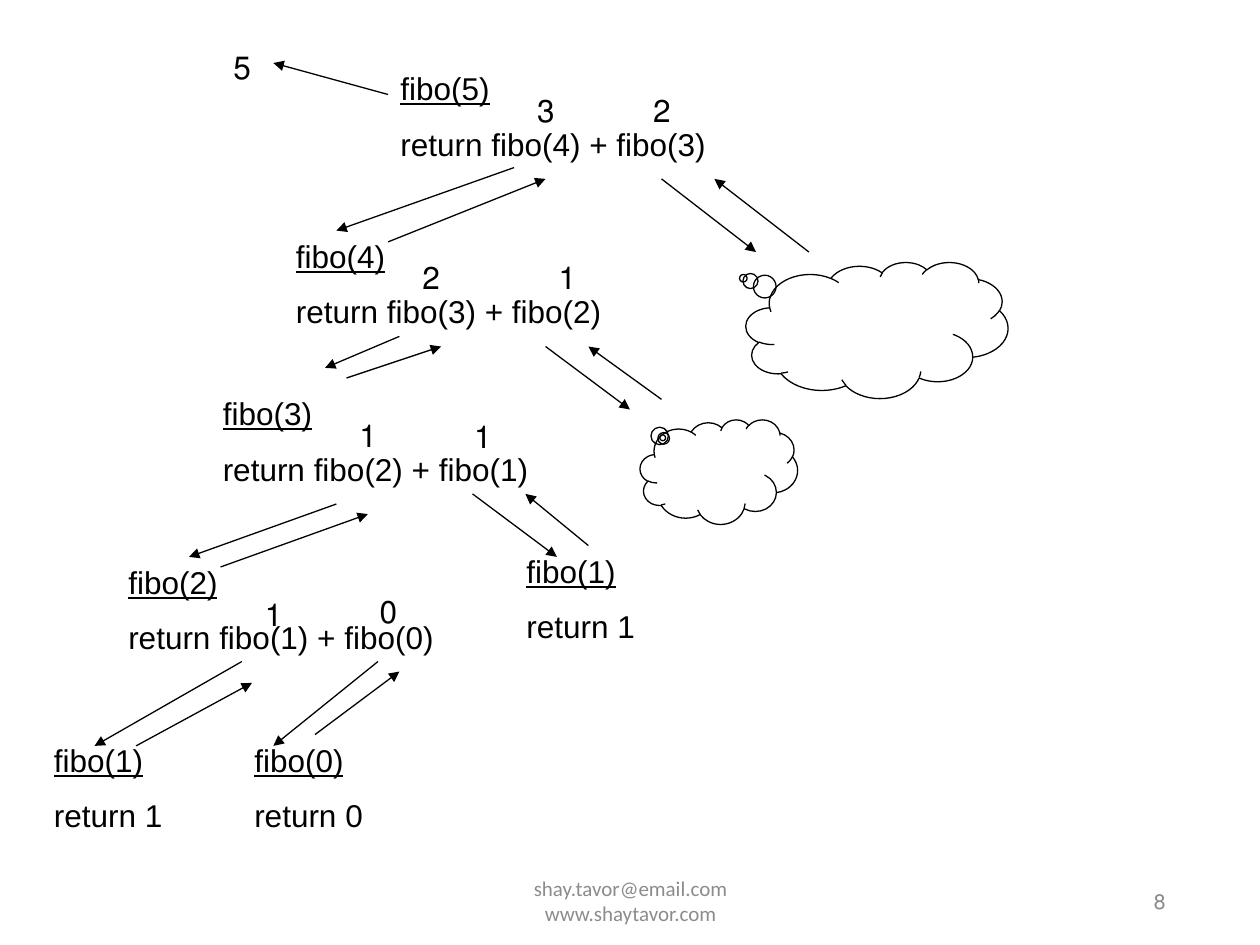
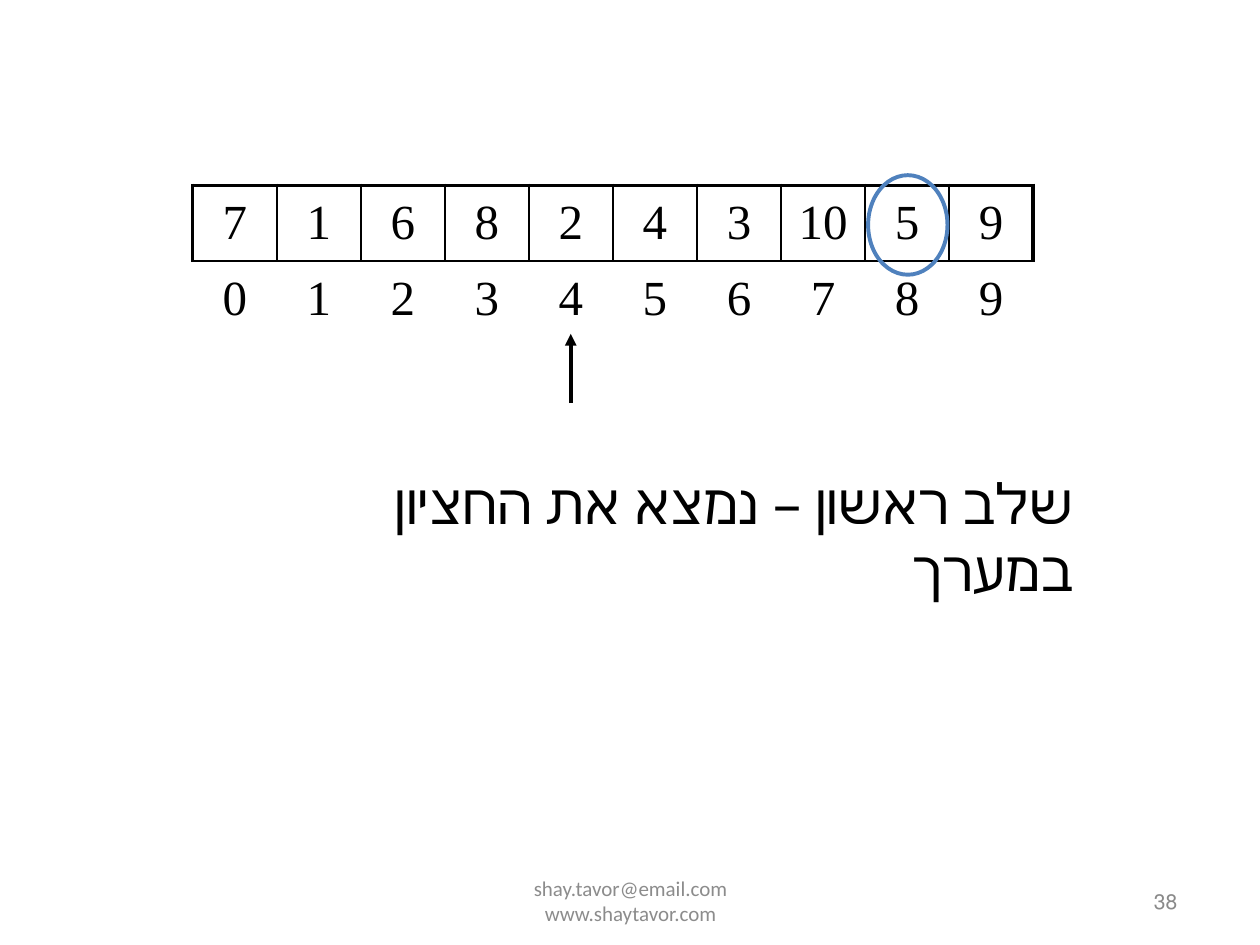
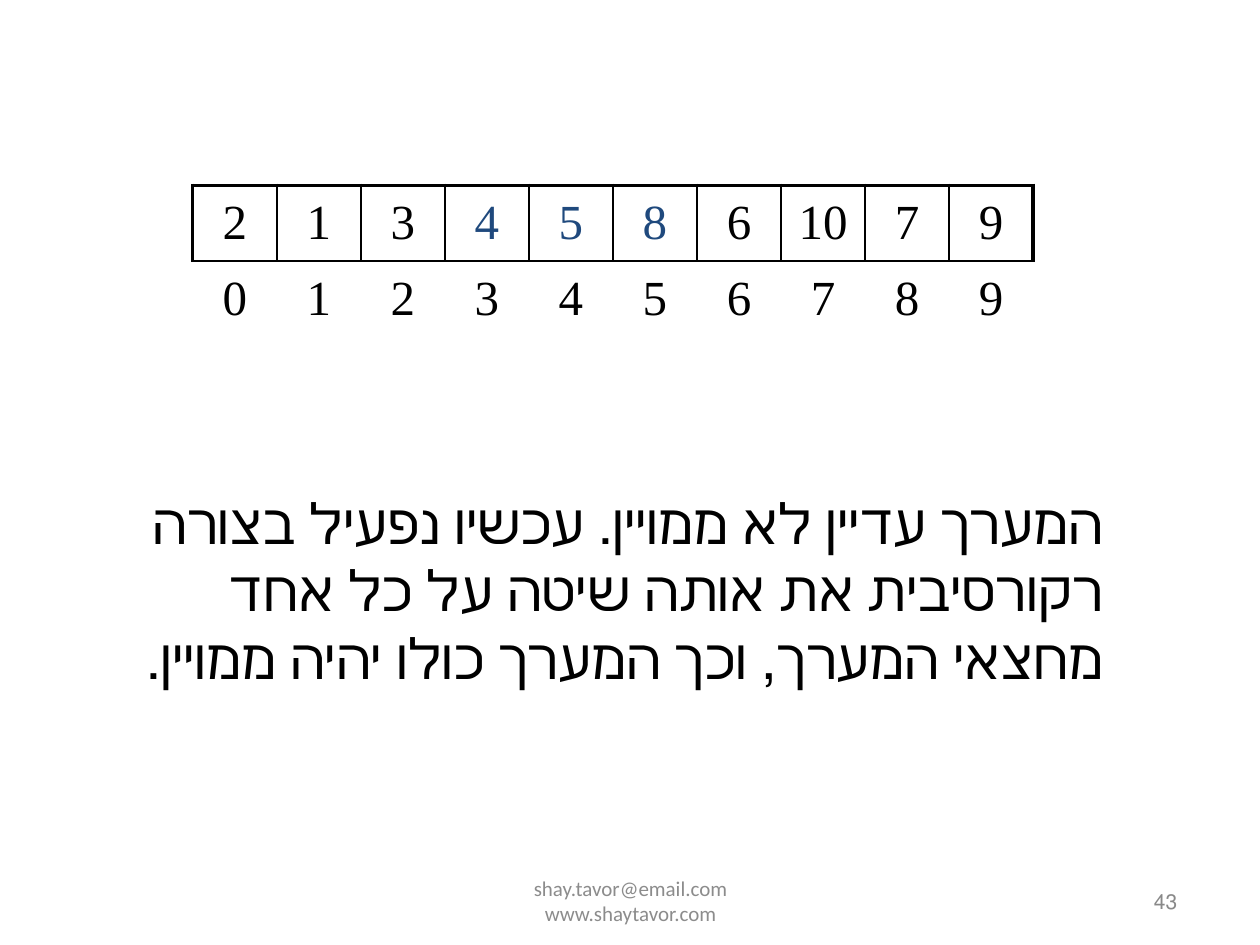
"""Build three lecture slides on recursion and quicksort."""
from pptx import Presentation
from pptx.dml.color import RGBColor
from pptx.enum import shapes, text
from pptx.oxml import parse_xml
from pptx.oxml.ns import nsdecls, qn
from pptx.util import Inches, Pt

BLACK = RGBColor(0x00, 0x00, 0x00)
NAVY = RGBColor(0x1F, 0x49, 0x7D)
BLUE = RGBColor(0x4F, 0x81, 0xBD)
GREY = RGBColor(0x8C, 0x8C, 0x8C)
PALE = RGBColor(0x89, 0x89, 0x89)
LEFT, MID, RIGHT = text.PP_ALIGN.LEFT, text.PP_ALIGN.CENTER, text.PP_ALIGN.RIGHT
SERIF = "Times New Roman"
PLAIN = "{2D5ABB26-0587-4C30-8999-92F81FD0307C}"
THIN, THICK = 1, 2.25

CALLS = [
    (3.08, 0.5, 3, 5, "fibo(4) + fibo(3)"),
    (2.25, 1.83, 3, 4, "fibo(3) + fibo(2)"),
    (1.67, 3.08, 3, 3, "fibo(2) + fibo(1)"),
    (0.92, 4.42, 3, 2, "fibo(1) + fibo(0)"),
    (0.33, 5.83, 1.33, 1, "1"),
    (1.92, 5.83, 1.33, 0, "0"),
    (4.08, 4.33, 1.33, 1, "1"),
]
VALUES = [
    (1.67, 0.33, 5), (4.08, 0.67, 3), (5, 0.67, 2),
    (3.17, 2, 2), (4.25, 2, 1), (2.67, 3.25, 1), (3.58, 3.26, 1),
    (1.92, 4.67, 1), (2.83, 4.65, 0),
]
ARROWS = [
    (3.08, 0.75, 2.17, 0.5),
    (4.08, 1.33, 2.67, 1.83), (3.08, 1.92, 4.33, 1.42),
    (5.25, 1.42, 6, 2), (6.42, 2, 5.67, 1.42),
    (3.17, 2.67, 2.58, 2.92), (2.75, 3, 3.5, 2.75),
    (4.33, 2.75, 5, 3.25), (5.25, 3.17, 4.67, 2.75),
    (2.67, 4, 1.5, 4.42), (1.75, 4.5, 2.92, 4.08),
    (3.75, 3.92, 4.42, 4.42), (4.67, 4.33, 4.17, 3.92),
    (1.92, 5.25, 0.75, 5.92), (1.08, 5.92, 2, 5.42),
    (3, 5.25, 2.17, 5.92), (2.5, 5.83, 3.17, 5.33),
]
CLOUDS = [
    (5.08, 3.33, 1.25, 0.83, -0.356, -0.325),
    (5.92, 2.08, 2.08, 1.08, -0.51, -0.381),
]


def style(para, size, font, color, align=LEFT, rtl=False):
    """Format a paragraph and its runs."""
    para.alignment = align
    if rtl:
        para._p.get_or_add_pPr().set("rtl", "1")
    for run in para.runs:
        run.font.size = Pt(size)
        run.font.name = font
        run.font.color.rgb = color


def add_text(slide, box, words, size, font, color=BLACK, align=LEFT, rtl=False):
    """Add a wrapped text box and return its frame."""
    frame = slide.shapes.add_textbox(*map(Inches, box)).text_frame
    frame.word_wrap = True
    frame.text = words
    for para in frame.paragraphs:
        style(para, size, font, color, align, rtl)
    return frame


def add_body(slide, *args, **kwargs):
    """Add a text box that grows with its text."""
    frame = add_text(slide, *args, **kwargs)
    frame.auto_size = text.MSO_AUTO_SIZE.SHAPE_TO_FIT_TEXT
    return frame


def add_call(slide, left, top, width, arg, result):
    """Add a function call with its return line."""
    words = f"fibo({arg})\nreturn {result}"
    frame = add_body(slide, (left, top, width, 0.85), words, 18, "Arial")
    head, body = frame.paragraphs
    head.runs[0].font.underline = True
    body.space_before = Pt(10)


def add_arrow(slide, ends, width=0.75):
    """Add a line with an arrowhead at its end."""
    line = slide.shapes.add_connector(
        shapes.MSO_CONNECTOR.STRAIGHT, *map(Inches, ends))
    line.line.color.rgb = BLACK
    line.line.width = Pt(width)
    line.line._get_or_add_ln().append(
        parse_xml(f'<a:tailEnd {nsdecls("a")} type="triangle"/>'))
    line._element.spPr.append(parse_xml(f'<a:effectLst {nsdecls("a")}/>'))


def add_shape(slide, kind, box, color, width):
    """Add an unfilled outline shape."""
    shape = slide.shapes.add_shape(kind, *map(Inches, box))
    shape.shadow.inherit = False
    shape.fill.background()
    shape.line.color.rgb = color
    shape.line.width = Pt(width)
    return shape


def add_edge(cell, side, width):
    """Draw one black cell border."""
    cell._tc.get_or_add_tcPr().append(parse_xml(
        f'<a:ln{side} {nsdecls("a")} w="{Pt(width)}"><a:solidFill>'
        f'<a:srgbClr val="{BLACK}"/></a:solidFill></a:ln{side}>'))


def add_array(slide, items, marked=()):
    """Add an array as a table with its indexes below."""
    count = len(items)
    table = slide.shapes.add_table(
        2, count, *map(Inches, (1.53, 1.47, 6.67, 1.2))).table
    table.first_row = table.horz_banding = False
    table._tbl.tblPr.find(qn("a:tableStyleId")).text = PLAIN
    for row, line in enumerate((items, range(count))):
        for col, item in enumerate(line):
            cell = table.cell(row, col)
            cell.text = str(item)
            cell.vertical_anchor = text.MSO_ANCHOR.MIDDLE
            color = NAVY if row == 0 and col in marked else BLACK
            style(cell.text_frame.paragraphs[0], 28, SERIF, color, MID)
            if row == 0:
                add_edge(cell, "L", THIN if col else THICK)
                add_edge(cell, "R", THIN if col < count - 1 else THICK)
                add_edge(cell, "T", THICK)
                add_edge(cell, "B", THIN)
            cell.fill.background()


def add_page(deck, number):
    """Add a blank slide with footer and number."""
    slide = deck.slides.add_slide(deck.slide_layouts[6])
    notes = [
        ((3.42, 6.95, 3.17, 0.4), "shay.tavor@email.com\vwww.shaytavor.com", GREY, MID),
        ((9.06, 6.95, 0.44, 0.4), str(number), PALE, LEFT),
    ]
    for box, words, color, align in notes:
        frame = add_text(slide, box, words, 12, "Calibri", color, align, True)
        frame.vertical_anchor = text.MSO_ANCHOR.MIDDLE
    return slide


def add_tree(deck):
    """Build the call tree of fibo(5)."""
    slide = add_page(deck, 8)
    for call in CALLS:
        add_call(slide, *call)
    for ends in ARROWS:
        add_arrow(slide, ends)
    for left, top, value in VALUES:
        add_body(slide, (left, top, 0.42, 0.4), str(value), 18, "Arial",
                 align=RIGHT, rtl=True)
    for *box, across, down in CLOUDS:
        cloud = add_shape(slide, shapes.MSO_SHAPE.CLOUD_CALLOUT, box, BLACK, 0.75)
        cloud.adjustments[0] = across
        cloud.adjustments[1] = down


def add_median(deck):
    """Build the slide that finds the median."""
    slide = add_page(deck, 38)
    add_array(slide, [7, 1, 6, 8, 2, 4, 3, 10, 5, 9])
    add_body(slide, (2.32, 3.67, 6.3, 0.63), "שלב ראשון – נמצא את החציון במערך",
             32, SERIF, align=RIGHT, rtl=True)
    add_shape(slide, shapes.MSO_SHAPE.OVAL, (6.89, 1.39, 0.63, 0.79), BLUE, THICK)
    add_arrow(slide, (4.53, 3.2, 4.53, 2.65), THICK)


def add_halves(deck):
    """Build the slide that recurses on both halves."""
    slide = add_page(deck, 43)
    add_array(slide, [2, 1, 3, 4, 5, 8, 6, 10, 7, 9], marked=(3, 4, 5))
    words = ("המערך עדיין לא ממויין. עכשיו נפעיל בצורה רקורסיבית את אותה שיטה "
             "על כל אחד מחצאי המערך, וכך המערך כולו יהיה ממויין.")
    add_body(slide, (0.67, 3.83, 8.19, 1.7), words, 32, SERIF, align=RIGHT, rtl=True)


def main():
    """Build and save the deck."""
    deck = Presentation()
    deck.slide_width, deck.slide_height = Inches(10), Inches(7.5)
    add_tree(deck)
    add_median(deck)
    add_halves(deck)
    deck.save("out.pptx")


main()
